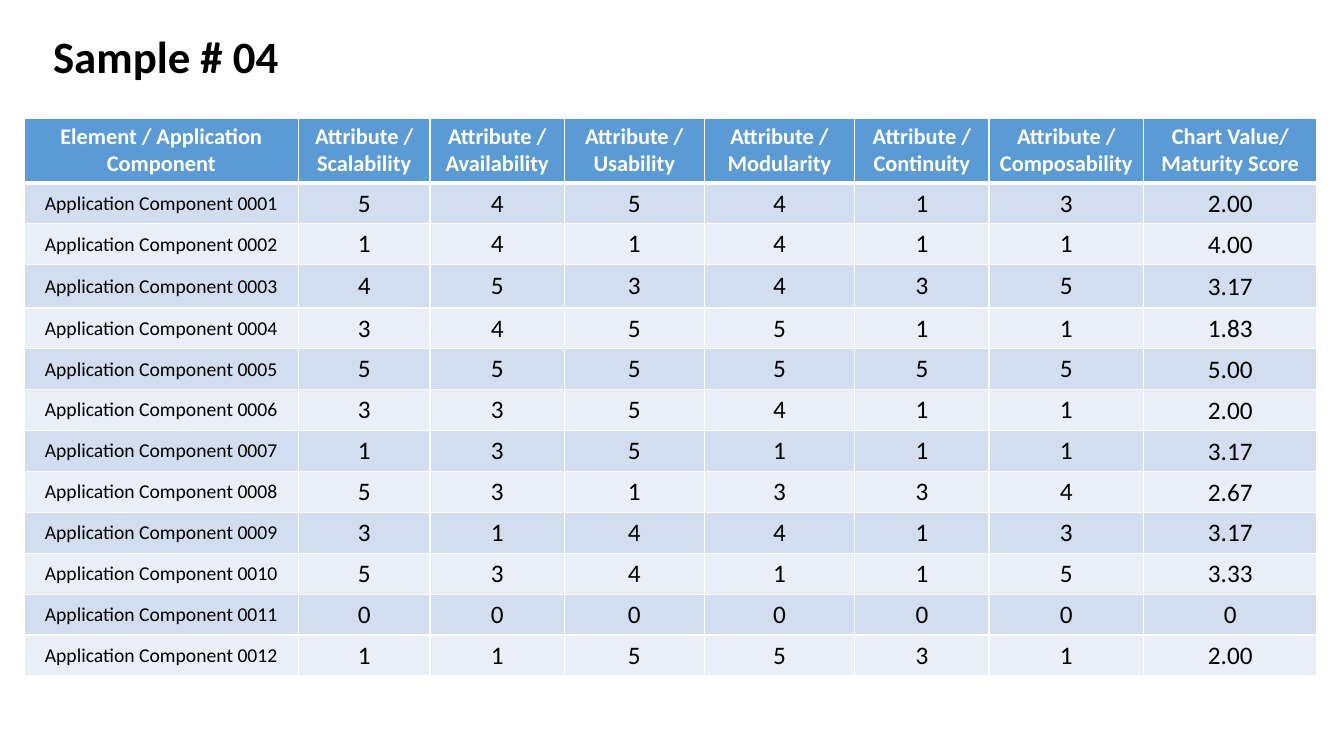
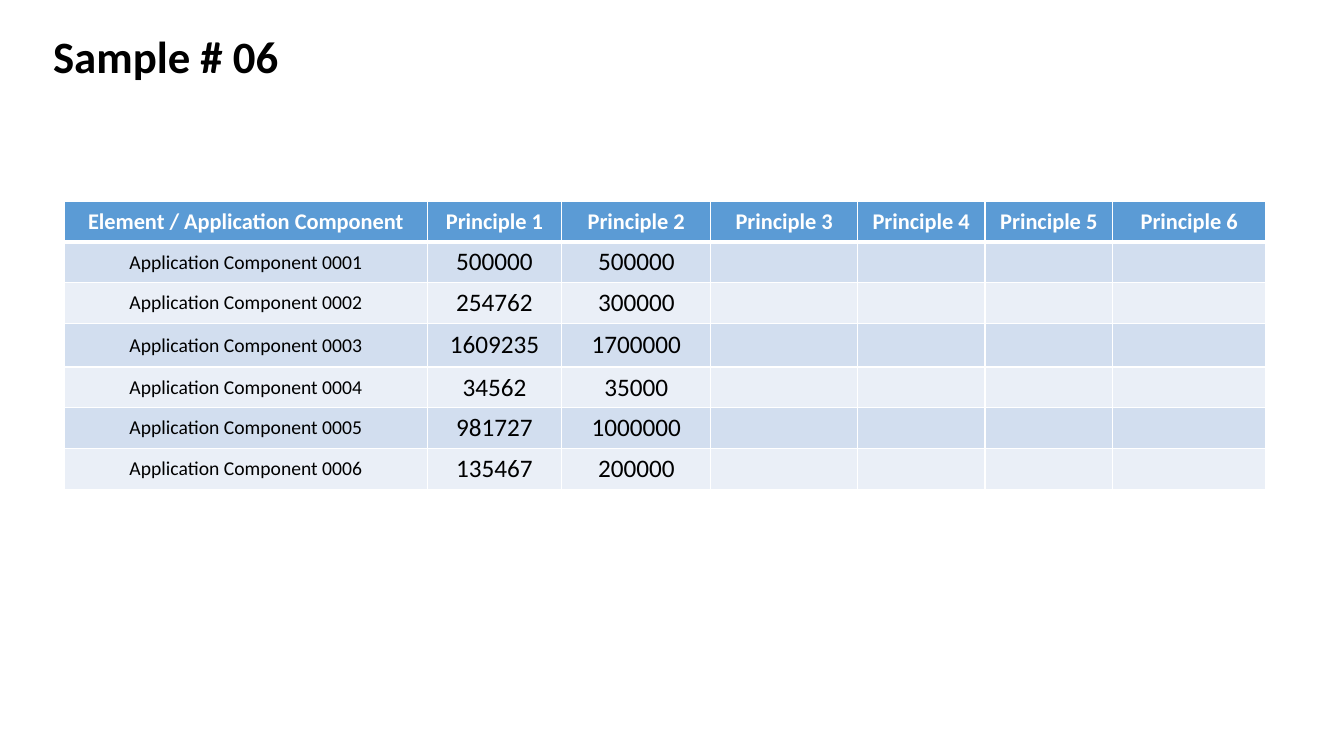
from lxml import etree
from pptx import Presentation
from pptx import util as u
from pptx.dml.color import RGBColor
from pptx.enum import text as t
from pptx.oxml import ns

BLACK = RGBColor(0x00, 0x00, 0x00)
WHITE = RGBColor(0xFF, 0xFF, 0xFF)
HEADER_BLUE = RGBColor(0x5B, 0x9B, 0xD5)
BAND_DARK = RGBColor(0xD2, 0xDE, 0xEF)
BAND_LIGHT = RGBColor(0xEA, 0xEF, 0xF7)
FONT = "Calibri"

# Shares of the slide height, in percent
ROW = 5.4
TALL_ROW = 5.73
TALL_ROW_NUMBER = 3


def write(frame, words, size=18, color=BLACK, bold=False, align=t.PP_ALIGN.CENTER):
    paragraph = frame.paragraphs[0]
    paragraph.alignment = align
    run = paragraph.add_run()
    run.text = words
    run.font.name = FONT
    run.font.size = u.Pt(size)
    run.font.bold = bold
    run.font.color.rgb = color


def set_borders(cell, top=1, bottom=1):
    """Rule the cell in white; widths are in points."""
    properties = cell._tc.get_or_add_tcPr()
    widths = {"a:lnL": 1, "a:lnR": 1, "a:lnT": top, "a:lnB": bottom}
    for position, (side, width) in enumerate(widths.items()):
        line = etree.Element(ns.qn(side), w=str(u.Pt(width)))
        fill = etree.SubElement(line, ns.qn("a:solidFill"))
        etree.SubElement(fill, ns.qn("a:srgbClr"), val=str(WHITE))
        properties.insert(position, line)


class Deck:
    """Style and current slide; lengths are percent of the slide's size."""

    def __init__(self):
        self.show = Presentation()
        self.show.slide_width = u.Inches(13.33)
        self.show.slide_height = u.Inches(7.5)
        self.slide = None

    def across(self, share):
        return round(self.show.slide_width * share / 100)

    def down(self, share):
        return round(self.show.slide_height * share / 100)

    def add_slide(self, heading):
        self.slide = self.show.slides.add_slide(self.show.slide_layouts[5])
        title = self.slide.shapes.title
        title.left, title.top = self.across(3.2), self.down(3.1)
        title.width, title.height = self.across(46), self.down(8.5)
        title.text_frame.vertical_anchor = t.MSO_ANCHOR.MIDDLE
        write(title.text_frame, heading, size=32, bold=True, align=t.PP_ALIGN.LEFT)

    def add_component_table(self, left, top, widths, header_height, headings,
                            scores, tight_last=False):
        """Number the components and fill any missing scores with empty cells."""
        heights = [header_height] + [ROW] * len(scores)
        heights[TALL_ROW_NUMBER] = TALL_ROW
        table = self.slide.shapes.add_table(
            len(heights), len(widths), self.across(left), self.down(top),
            self.across(sum(widths)), self.down(sum(heights))).table
        for column, width in zip(table.columns, widths):
            column.width = self.across(width)
        for row, height in zip(table.rows, heights):
            row.height = self.down(height)

        for column, heading in enumerate(headings):
            self.fill_cell(table.cell(0, column), heading, HEADER_BLUE,
                           bottom=3, size=16, color=WHITE, bold=True)
        for number, values in enumerate(scores, start=1):
            band = BAND_DARK if number % 2 else BAND_LIGHT
            top_rule = 3 if number == 1 else 1
            entries = [f"Application Component {number:04}", *values.split()]
            entries += [""] * (len(widths) - len(entries))
            for column, entry in enumerate(entries):
                cell = table.cell(number, column)
                self.fill_cell(cell, entry, band, top=top_rule,
                               size=18 if column else 14)
                if tight_last and column == len(widths) - 1:
                    cell.margin_left = cell.margin_right = u.Inches(0.01)
                    cell.margin_top, cell.margin_bottom = u.Inches(0.01), 0

    def fill_cell(self, cell, words, background, top=1, bottom=1, **style):
        cell.fill.solid()
        cell.fill.fore_color.rgb = background
        cell.vertical_anchor = t.MSO_ANCHOR.MIDDLE
        set_borders(cell, top, bottom)
        if words:
            write(cell.text_frame, words, **style)


def main():
    deck = Deck()

    attributes = ["Scalability", "Availability", "Usability", "Modularity",
                  "Continuity", "Composability"]
    deck.add_slide("Sample # 04")
    deck.add_component_table(
        left=1.8, top=15.6, header_height=8.6, tight_last=True,
        widths=[20.4, 9.8, 10, 10.4, 11.2, 10, 11.5, 12.9],
        headings=["Element / Application Component",
                  *(f"Attribute / {name}" for name in attributes),
                  "Chart Value/ Maturity Score"],
        scores=["5 4 5 4 1 3 2.00",
                "1 4 1 4 1 1 4.00",
                "4 5 3 4 3 5 3.17",
                "3 4 5 5 1 1 1.83",
                "5 5 5 5 5 5 5.00",
                "3 3 5 4 1 1 2.00",
                "1 3 5 1 1 1 3.17",
                "5 3 1 3 3 4 2.67",
                "3 1 4 4 1 3 3.17",
                "5 3 4 1 1 5 3.33",
                "0 0 0 0 0 0 0",
                "1 1 5 5 3 1 2.00"])

    deck.add_slide("Sample # 06")
    deck.add_component_table(
        left=4.8, top=26.6, header_height=ROW,
        widths=[27, 10, 11.1, 10.9, 9.5, 9.5, 11.4],
        headings=["Element / Application Component",
                  *(f"Principle {number}" for number in range(1, 7))],
        scores=["500000 500000",
                "254762 300000",
                "1609235 1700000",
                "34562 35000",
                "981727 1000000",
                "135467 200000"])

    deck.show.save("out.pptx")


if __name__ == "__main__":
    main()
